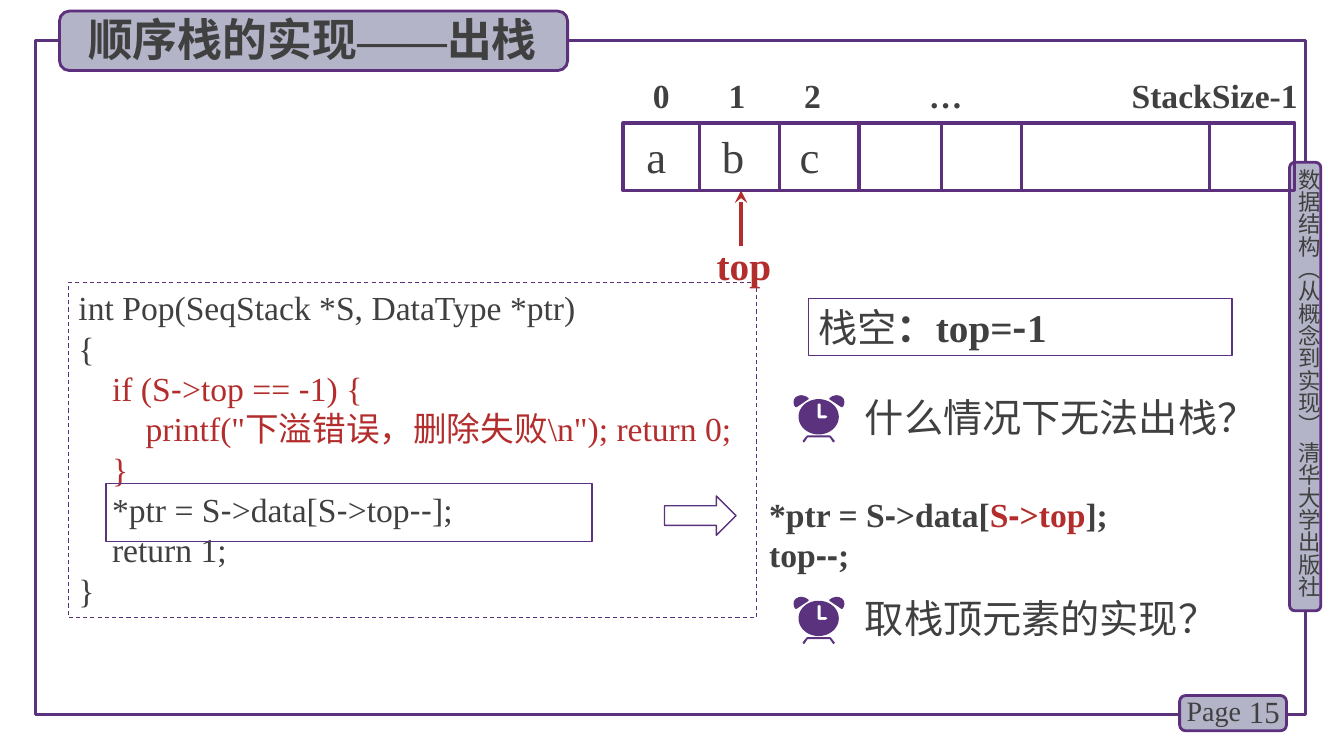
from itertools import groupby
from math import cos, pi, sin
from pptx import Presentation
from pptx.dml.color import RGBColor
from pptx.enum.dml import MSO_LINE
from pptx.enum.shapes import MSO_CONNECTOR, MSO_SHAPE
from pptx.enum.text import MSO_ANCHOR, PP_ALIGN
from pptx.oxml.ns import qn
from pptx.util import Pt
from lxml.etree import SubElement

PX = 9144
INK, RED, PURPLE, DEEP, LILAC = "404040", "B42D2D", "5C307D", "5A327D", "B4B4C8"
SERIF, SANS, HYPHEN = "Times New Roman", "Noto Sans CJK SC", "Arial"

FOOT = [(410, 455), (370, 405), (360, 400), (140, 400), (130, 405), (90, 455),
        (100, 470), (110, 465), (140, 420), (360, 420), (390, 465), (400, 470)]
BELL = [(80, 0), (50, 5), (22, 20), (5, 42), (0, 70), (5, 98), (20, 120),
        (30, 120), (150, 40), (150, 30), (120, 10)]
HANDS = [(240, 90), (255, 80), (270, 90), (270, 200), (320, 200), (340, 215),
         (320, 230), (250, 230), (240, 220)]
FACE = [(250 + 200 * cos(i * pi / 24), 215 + 175 * sin(i * pi / 24)) for i in range(48)]


def rgb(value):
    return RGBColor.from_string(value)


def code(text, color=INK, bold=False):
    return [("".join(part), HYPHEN if dash else SERIF, color, bold)
            for dash, part in groupby(text, lambda ch: ch == "-")]


class Deck:
    """Draws styled elements on one slide, measured in px of 1/100 inch."""

    def __init__(self, prs):
        self.s = prs.slides.add_slide(prs.slide_layouts[6])

    def style(self, sp, fill, line, width):
        sp.shadow.inherit = False
        if fill:
            sp.fill.solid()
            sp.fill.fore_color.rgb = rgb(fill)
        else:
            sp.fill.background()
        if line:
            sp.line.color.rgb = rgb(line)
            sp.line.width = Pt(width)
        else:
            sp.line.fill.background()

    def shape(self, kind, box, fill=None, line=PURPLE, width=2):
        sp = self.s.shapes.add_shape(kind, *[v * PX for v in box])
        self.style(sp, fill, line, width)
        return sp

    def put(self, sp, paragraphs, size, align=PP_ALIGN.LEFT, wrap=True, anchor=MSO_ANCHOR.TOP):
        tf = sp.text_frame
        tf.word_wrap = wrap
        tf.vertical_anchor = anchor
        for i, runs in enumerate(paragraphs):
            p = tf.add_paragraph() if i else tf.paragraphs[0]
            p.alignment = align
            for text, font, color, bold in runs:
                r = p.add_run()
                r.text = text
                r.font.size = Pt(size)
                r.font.bold = bold
                r.font.color.rgb = rgb(color)
                r.font.name = font
                ea = SERIF if text == "——" else SANS
                SubElement(r._r.rPr, qn("a:ea")).set("typeface", ea)
        return tf

    def text(self, box, paragraphs, size, **options):
        sp = self.s.shapes.add_textbox(*[v * PX for v in box])
        self.put(sp, paragraphs, size, **options)
        return sp

    def vertical(self, box, paragraphs, size):
        sp = self.text(box, paragraphs, size)
        tf = sp.text_frame
        tf.margin_left = tf.margin_right = tf.margin_top = tf.margin_bottom = 0
        sp.element.txBody.bodyPr.set("vert", "eaVert")

    def line(self, x1, y1, x2, y2, color=PURPLE, width=2.25, head=None):
        ends = [v * PX for v in (x1, y1, x2, y2)]
        cn = self.s.shapes.add_connector(MSO_CONNECTOR.STRAIGHT, *ends)
        cn.line.color.rgb = rgb(color)
        cn.line.width = Pt(width)
        if head:
            SubElement(cn.element.spPr.find(qn("a:ln")), qn("a:tailEnd")).set("type", head)
        SubElement(cn.element.spPr, qn("a:effectLst"))

    def outline(self, x, y, *contours):
        fb = self.s.shapes.build_freeform(*contours[0][0], scale=PX / 10)
        for i, points in enumerate(contours):
            if i:
                fb.move_to(*points[0])
            fb.add_line_segments(points[1:], close=True)
        self.style(fb.convert_to_shape(x * PX, y * PX), DEEP, None, 0)

    def question(self, y, text):
        self.text((848, y - 7, 407, 57), [[(text, SANS, INK, False)]], 28)
        mirrored = [(505 - px, py) for px, py in BELL]
        for contours in ([FOOT], [BELL], [mirrored], [FACE, HANDS]):
            self.outline(787, y, *contours)


def main():
    prs = Presentation()
    prs.slide_width, prs.slide_height = 1333 * PX, 750 * PX
    d = Deck(prs)
    rect, rounded = MSO_SHAPE.RECTANGLE, MSO_SHAPE.ROUNDED_RECTANGLE

    d.shape(rect, (35, 40, 1260, 669), line=DEEP, width=2.25)
    d.shape(rounded, (1279, 161, 31, 445), LILAC)
    d.vertical((1285, 167, 27, 449),
               [[("数据结构（从概念到实现） 清华大学出版社", SANS, INK, False)]], 16)
    d.shape(rounded, (1170, 690, 106, 35), LILAC)
    d.text((1220, 686, 59, 40), [[("15", SERIF, INK, False)]], 22,
           align=PP_ALIGN.RIGHT, anchor=MSO_ANCHOR.MIDDLE)
    d.text((1167, 683, 78, 44), [[("Page", SERIF, INK, False)]], 20)

    sp = d.shape(rect, (802, 296, 420, 57), width=1)
    d.put(sp, [[("栈空", SANS, INK, False), ("：top=", SERIF, INK, True),
                ("-", SANS, INK, True), ("1", SERIF, INK, True)]], 28)

    sp = d.shape(rect, (68, 280, 682, 333), width=0.75)
    sp.line.dash_style = MSO_LINE.DASH
    tf = d.put(sp, [
        code("int Pop(SeqStack *S, DataType *ptr)"),
        code("{"),
        code("    if (S->top == -1) {", RED),
        code("        printf(\"下溢错误，删除失败\\n\"); return 0;", RED),
        code("    }", RED),
        code("    *ptr = S->data[S->top--];"),
        code("    return 1;"),
        code("}"),
    ], 24)
    tf.margin_right = 0

    d.question(592, "取栈顶元素的实现？")
    d.text((753, 485, 371, 91),
           [code("*ptr = S->data[", bold=True) + code("S->top", RED, True)
            + code("];", bold=True), code("top--;", bold=True)], 24, wrap=False)
    d.shape(rect, (105, 480, 482, 57), line=DEEP, width=1)
    d.shape(MSO_SHAPE.RIGHT_ARROW, (659, 492, 71, 39), line=DEEP, width=1)
    d.question(392, "什么情况下无法出栈？")

    d.shape(rounded, (59, 11, 504, 59), LILAC)
    d.text((73, 7, 474, 64),
           [[("顺序栈的实现", SANS, INK, True), ("——", SERIF, INK, True),
             ("出栈", SANS, INK, True)]], 32, align=PP_ALIGN.CENTER)

    for i, index in enumerate("012"):
        d.text((618 + 75 * i, 69, 76, 50), [[(index, SERIF, INK, True)]], 24,
               align=PP_ALIGN.CENTER)
    d.text((900, 69, 76, 50), [[("…", SERIF, INK, True)]], 24, align=PP_ALIGN.CENTER)
    d.text((1097, 69, 200, 50), [[("StackSize-1", SERIF, INK, True)]], 24,
           align=PP_ALIGN.RIGHT)

    d.shape(rect, (618, 122, 666, 67), width=2.25)
    for x in (694, 773, 852, 934, 1013, 1200):
        d.line(x, 122, x, 189)
    for i, item in enumerate("abc"):
        d.text((613 + 76 * i, 123, 76, 64), [[(item, SERIF, INK, False)]], 32,
               align=PP_ALIGN.CENTER)
    d.line(735, 244, 735, 189, RED, 3, "stealth")
    d.text((701, 234, 79, 57), [[("top", SERIF, RED, True)]], 28)

    prs.save("out.pptx")


if __name__ == "__main__":
    main()
